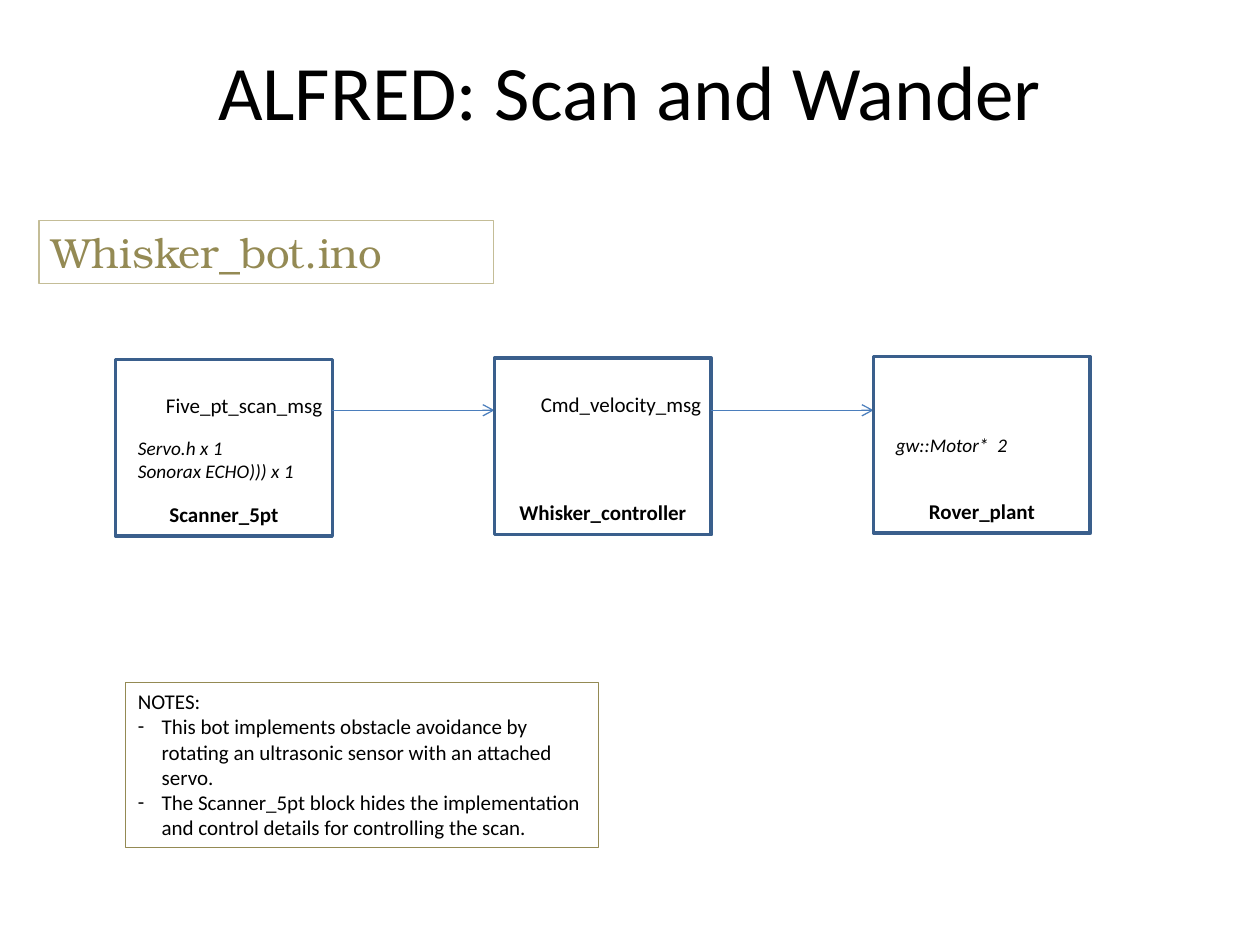
from dataclasses import dataclass
from lxml import etree
from pptx import Presentation
from pptx.dml.color import RGBColor
from pptx.enum.shapes import MSO_CONNECTOR, MSO_SHAPE
from pptx.enum.text import MSO_ANCHOR, PP_ALIGN
from pptx.oxml.ns import qn
from pptx.util import Cm, Pt

LEFT, CENTER, RIGHT = PP_ALIGN.LEFT, PP_ALIGN.CENTER, PP_ALIGN.RIGHT
MIDDLE = MSO_ANCHOR.MIDDLE
RECT = MSO_SHAPE.RECTANGLE
STRAIGHT = MSO_CONNECTOR.STRAIGHT


@dataclass(frozen=True)
class Theme:
    ink: RGBColor = RGBColor(0x00, 0x00, 0x00)
    frame: RGBColor = RGBColor(0x3A, 0x5F, 0x8C)
    arrow: RGBColor = RGBColor(0x4B, 0x7E, 0xBC)
    olive: RGBColor = RGBColor(0x94, 0x8A, 0x54)
    sand: RGBColor = RGBColor(0xC4, 0xBD, 0x97)
    sans: str = "Calibri"
    serif: str = "TeX Gyre Bonum"
    title: float = 44
    file: float = 24
    body: float = 12
    small: float = 11
    thin: float = 0.75
    thick: float = 2


THEME = Theme()


def style(frame, size, align=LEFT, color=THEME.ink, face=THEME.sans, bold=None, slant=None):
    for para in frame.paragraphs:
        para.alignment = align
        for run in para.runs:
            font = run.font
            font.name, font.size = face, Pt(size)
            font.bold, font.italic = bold, slant
            font.color.rgb = color


def stroke(line, color, width):
    line.color.rgb = color
    line.width = Pt(width)


def label(shapes, box, text, size, **look):
    item = shapes.add_textbox(*map(Cm, box))
    item.text_frame.word_wrap = True
    item.text_frame.text = text
    style(item.text_frame, size, **look)
    return item


def heading(slide, box):
    title = slide.shapes.title
    title.left, title.top, title.width, title.height = map(Cm, box)
    title.text_frame.text = "ALFRED: Scan and Wander"
    title.text_frame.vertical_anchor = MIDDLE
    style(title.text_frame, THEME.title, CENTER)


def banner(slide, box):
    item = label(slide.shapes, box, "Whisker_bot.ino", THEME.file,
                 color=THEME.olive, face=THEME.serif)
    stroke(item.line, THEME.sand, THEME.thin)


def block(slide, box, name, signal=None, parts=None):
    left, top, width, height = box
    group = slide.shapes.add_group_shape().shapes
    frame = group.add_shape(RECT, *map(Cm, box))
    frame.shadow.inherit = False
    frame.fill.background()
    stroke(frame.line, THEME.frame, THEME.thick)
    label(group, (left, top + height - 0.83, width, 0.76), name, THEME.body,
          align=CENTER, bold=True)
    if signal:
        label(group, (left + 0.25, top + 0.54, width - 0.2, 0.76), signal,
              THEME.body, align=RIGHT)
    if parts:
        rows = parts.count("\n") + 1
        label(group, (left + 0.2, top + 1.42, 3.86, 0.27 + 0.46 * rows), parts,
              THEME.small, slant=True)


def arrow(slide, start, end, level):
    link = slide.shapes.add_connector(STRAIGHT, Cm(start), Cm(level), Cm(end), Cm(level))
    stroke(link.line, THEME.arrow, THEME.thin)
    props = link._element.spPr
    etree.SubElement(props.find(qn("a:ln")), qn("a:tailEnd"), type="arrow")
    etree.SubElement(props, qn("a:effectLst"))


def flow(slide, box):
    left, top, width, height = box
    side = 4.37
    nodes = (
        ("Scanner_5pt", "Five_pt_scan_msg", "Servo.h x 1\nSonorax ECHO))) x 1"),
        ("Whisker_controller", "Cmd_velocity_msg", None),
        ("Rover_plant", None, "gw::Motor*  2"),
    )
    pitch = (width - side) / (len(nodes) - 1)
    for index, node in enumerate(nodes):
        start = left + index * pitch
        block(slide, (start, top - index * 0.03, side, height), *node)
        if index < len(nodes) - 1:
            arrow(slide, start + side, start + pitch, top + 1.02)


def notes(slide, box):
    text = "\n".join((
        "NOTES:",
        "This bot implements obstacle avoidance by rotating an ultrasonic sensor "
        "with an attached servo.",
        "The Scanner_5pt block hides the implementation and control details for "
        "controlling the scan.",
    ))
    item = label(slide.shapes, box, text, THEME.body)
    stroke(item.line, THEME.olive, THEME.thin)
    for para in item.text_frame.paragraphs[1:]:
        props = para._p.get_or_add_pPr()
        props.set("marL", str(Cm(0.48)))
        props.set("indent", str(-Cm(0.48)))
        etree.SubElement(props, qn("a:buFont"), typeface=THEME.sans)
        etree.SubElement(props, qn("a:buChar"), char="-")


def main():
    deck = Presentation()
    deck.slide_width, deck.slide_height = Cm(25.4), Cm(19.05)
    slide = deck.slides.add_slide(deck.slide_layouts[5])
    heading(slide, (1.27, 0.22, 22.86, 3.18))
    flow(slide, (2.33, 7.25, 19.65, 3.56))
    notes(slide, (2.53, 13.76, 9.53, 3.33))
    banner(slide, (0.79, 4.45, 9.16, 1.27))
    deck.save("out.pptx")


main()
